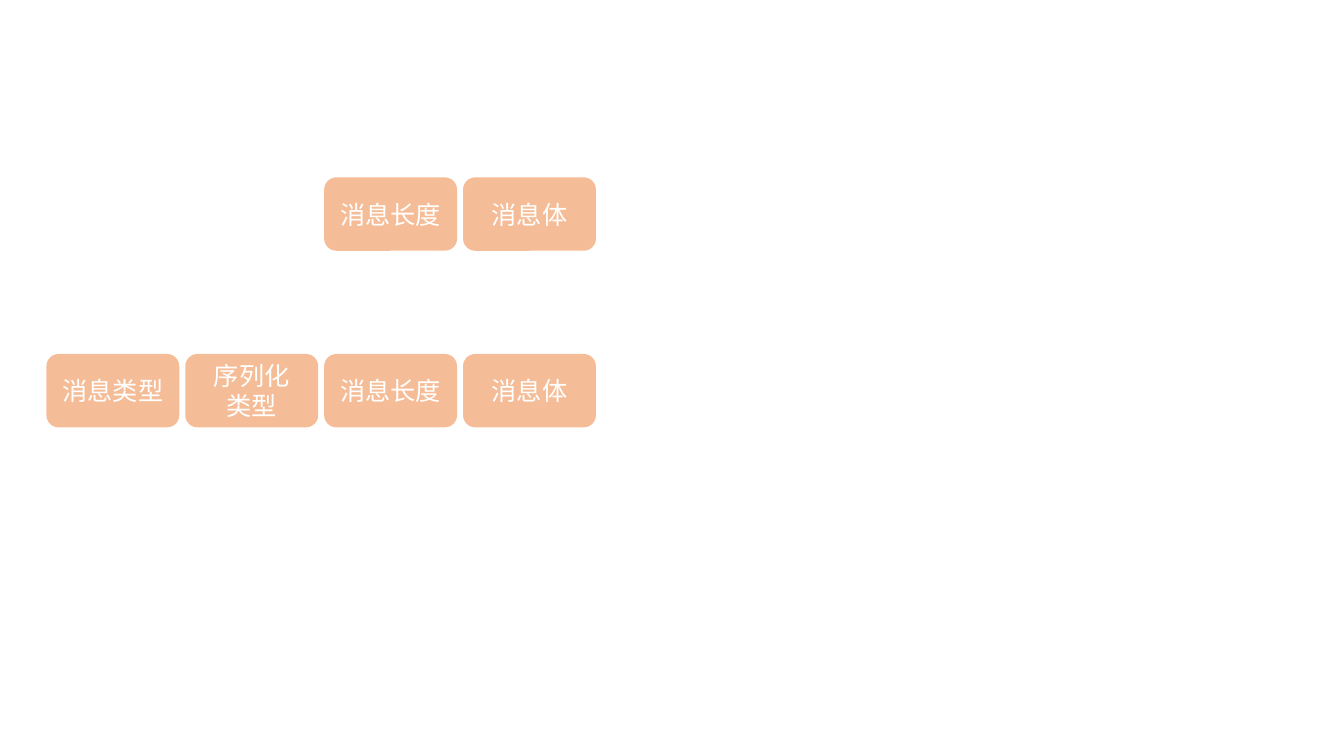
from lxml.etree import SubElement
from pptx import Presentation
from pptx.dml.color import RGBColor
from pptx.enum.shapes import MSO_SHAPE as Preset
from pptx.enum.text import MSO_ANCHOR as Anchor, PP_ALIGN as Align
from pptx.oxml.ns import qn
from pptx.util import Cm, Pt

FONT_NAME = "Noto Sans CJK SC"
FONT_FORMAT = {"name": FONT_NAME, "size": Pt(18)}
FRAME_FORMAT = {"word_wrap": True, "vertical_anchor": Anchor.MIDDLE}
FIELD_WIDTH, FIELD_HEIGHT = 3.35, 1.85
FIRST_LEFT, COLUMN_STEP = 1.17, 3.5
MESSAGE_ROWS = [
    (4.47, 2, ["消息长度", "消息体"]),
    (8.92, 0, ["消息类型", "序列化\n类型", "消息长度", "消息体"]),
]


def set_color(color_format, hex_color):
    """Apply a hex colour to a colour format."""
    color_format.rgb = RGBColor.from_string(hex_color)


def apply_format(target, values):
    """Set each attribute of the target from a dict."""
    for name, value in values.items():
        setattr(target, name, value)


def fill_shape(shape, hex_color, opacity):
    """Give a shape a translucent fill with no line or shadow."""
    shape.shadow.inherit = False
    shape.line.fill.background()
    shape.fill.solid()
    set_color(shape.fill.fore_color, hex_color)
    color = shape.fill._xPr.find(f".//{qn('a:srgbClr')}")
    SubElement(color, qn("a:alpha"), val=str(opacity * 1000))


def write_label(shape, text):
    """Write centred white text, one paragraph per line."""
    frame = shape.text_frame
    frame.text = text
    apply_format(frame, FRAME_FORMAT)
    for paragraph in frame.paragraphs:
        paragraph.alignment = Align.CENTER
        for run in paragraph.runs:
            apply_format(run.font, FONT_FORMAT)
            set_color(run.font.color, "FFFFFF")
            SubElement(run.font._element, qn("a:ea"), typeface=FONT_NAME)


def add_field(slide, left, top, text):
    """Add one rounded message field."""
    shape = slide.shapes.add_shape(
        Preset.ROUNDED_RECTANGLE, Cm(left), Cm(top), Cm(FIELD_WIDTH), Cm(FIELD_HEIGHT)
    )
    fill_shape(shape, "ED7D31", 50)
    write_label(shape, text)


def add_message(slide, top, first_column, labels):
    """Add a row of message fields from a starting column."""
    for column, label in enumerate(labels, first_column):
        add_field(slide, FIRST_LEFT + column * COLUMN_STEP, top, label)


def main():
    """Build and save the message format slide."""
    presentation = Presentation()
    apply_format(presentation, {"slide_width": Cm(33.87), "slide_height": Cm(19.05)})
    slide = presentation.slides.add_slide(presentation.slide_layouts[6])
    for top, first_column, labels in MESSAGE_ROWS:
        add_message(slide, top, first_column, labels)
    presentation.save("out.pptx")


if __name__ == "__main__":
    main()
